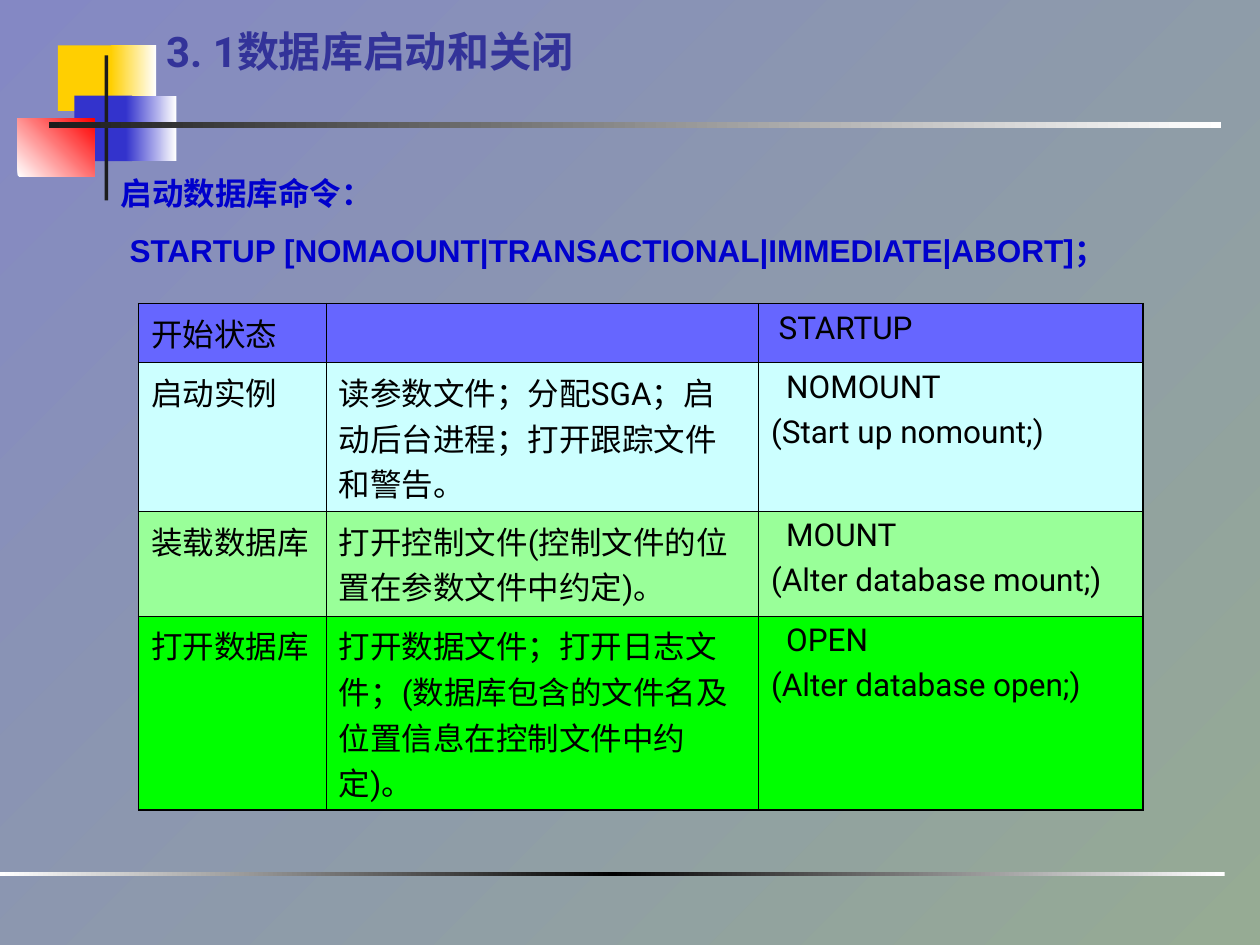
import copy

import pptx
import pptx.dml.color
import pptx.enum.shapes
import pptx.enum.text
import pptx.oxml
import pptx.oxml.ns
import pptx.util

Inches = pptx.util.Inches
Pt = pptx.util.Pt
RGB = pptx.dml.color.RGBColor.from_string

COLORS = {
    "sky": "8488C4", "sage": "96AB94",
    "yellow": "FFCF01", "blue": "3333CC", "red": "FF0000",
    "white": "FFFFFF", "black": "000000", "ink": "1C1C1C",
    "title": "333399", "command": "0000CC",
    "header": "6666FF", "cyan": "CCFFFF", "mint": "99FF99", "green": "00FF00",
}


def paint(fill, names, angle=0, element=None):
    """Solid fill for one colour, evenly spaced clockwise gradient for more."""
    if len(names) == 1:
        fill.solid()
        fill.fore_color.rgb = RGB(COLORS[names[0]])
        return
    fill.gradient()
    fill.gradient_angle = (360 - angle) % 360
    for extra in names[2:]:
        stops = element.xpath(".//a:gsLst")[0]
        stops.append(copy.deepcopy(stops[0]))
    for index, (stop, name) in enumerate(zip(fill.gradient_stops, names)):
        stop.position = index / (len(names) - 1)
        stop.color.rgb = RGB(COLORS[name])


def write(frame, lines, font, size, color, bold=False, space=0):
    """Write (text, first-line indent in inches) pairs as paragraphs."""
    frame.word_wrap = True
    for index, (text, indent) in enumerate(lines):
        para = frame.paragraphs[0] if index == 0 else frame.add_paragraph()
        if index:
            para.space_before = Pt(space)
        if indent:
            properties = para._p.get_or_add_pPr()
            properties.set("marL", "0")
            properties.set("indent", str(Inches(indent)))
        span = para.add_run()
        span.text = text
        span.font.name = font
        span.font.size = Pt(size)
        span.font.bold = bold
        span.font.color.rgb = RGB(COLORS[color])


deck = pptx.Presentation()
deck.slide_width = Inches(10)
deck.slide_height = Inches(7.5)
page = deck.slides.add_slide(deck.slide_layouts[6])
paint(page.background.fill, ["sky", "sage"], 45)

# Corner blocks and rules: left, top, width, height, colours, angle
decorations = [
    (0.46, 0.36, 0.48, 0.52, ["yellow"], 0),
    (0.88, 0.36, 0.36, 0.52, ["yellow", "white"], 0),
    (0.59, 0.76, 0.46, 0.52, ["blue"], 0),
    (1, 0.76, 0.4, 0.52, ["blue", "white"], 0),
    (0.14, 0.94, 0.61, 0.46, ["white", "red"], 315),
    (0.83, 0.44, 0.03, 1.15, ["ink"], 0),
    (0.39, 0.97, 9.3, 0.05, ["ink", "white"], 0),
    (0, 6.92, 9.72, 0.03, ["white", "black", "white"], 0),
]
for *place, names, angle in decorations:
    block = page.shapes.add_shape(
        pptx.enum.shapes.MSO_SHAPE.RECTANGLE, *map(Inches, place))
    block.shadow.inherit = False
    block.line.fill.background()
    paint(block.fill, names, angle, block.element)

# Title
title = page.shapes.add_textbox(
    Inches(1.22), Inches(0.15), Inches(3.78), Inches(0.79))
write(title.text_frame, [("3. 1数据库启动和关闭", 0)], "Roboto", 24, "title", bold=True)

# Startup stages
rows = [
    ("header", 0.47, [[("开始状态", 0)], [], [("STARTUP", 0.06)]]),
    ("cyan", 1.18, [
        [("启动实例", 0)],
        [("读参数文件；分配SGA；启动后台进程；打开跟踪文件和警告。", 0)],
        [("NOMOUNT", 0.12), ("(Start up nomount;)", 0)]]),
    ("mint", 0.83, [
        [("装载数据库", 0)],
        [("打开控制文件(控制文件的位置在参数文件中约定)。", 0)],
        [("MOUNT", 0.12), ("(Alter database mount;)", 0)]]),
    ("green", 1.54, [
        [("打开数据库", 0)],
        [("打开数据文件；打开日志文件；(数据库包含的文件名及位置信息在控制文件中约定)。", 0)],
        [("OPEN", 0.12), ("(Alter database open;)", 0)]]),
]
widths = [1.49, 3.43, 3.05]
table = page.shapes.add_table(
    len(rows), len(widths),
    Inches(1.1), Inches(2.41), Inches(7.97), Inches(4.02)).table
table.first_row = False
table.horz_banding = False
for column, width in zip(table.columns, widths):
    column.width = Inches(width)

for r, (shade, height, contents) in enumerate(rows):
    table.rows[r].height = Inches(height)
    for c, lines in enumerate(contents):
        cell = table.cell(r, c)
        write(cell.text_frame, lines, "Roboto", 18, "black", space=4.5)
        paint(cell.fill, [shade])
        # Thick outer edge, thin inner grid
        outer = {"lnL": c == 0, "lnR": c == len(widths) - 1,
                 "lnT": r == 0, "lnB": r == len(rows) - 1}
        for index, (side, thick) in enumerate(outer.items()):
            edge = pptx.oxml.parse_xml(
                f'<a:{side} {pptx.oxml.ns.nsdecls("a")} w="{Pt(1.08 if thick else 0.45)}">'
                f'<a:solidFill><a:srgbClr val="{COLORS["black"]}"/></a:solidFill></a:{side}>')
            cell._tc.get_or_add_tcPr().insert(index, edge)

# Startup command
command = page.shapes.add_textbox(
    Inches(0.86), Inches(1.33), Inches(8.52), Inches(0.86))
command.text_frame.auto_size = pptx.enum.text.MSO_AUTO_SIZE.SHAPE_TO_FIT_TEXT
write(command.text_frame, [
    ("启动数据库命令：", 0),
    ("STARTUP [NOMAOUNT|TRANSACTIONAL|IMMEDIATE|ABORT]；", 0.07),
], "Arial", 18, "command", bold=True, space=11.2)

deck.save("out.pptx")
